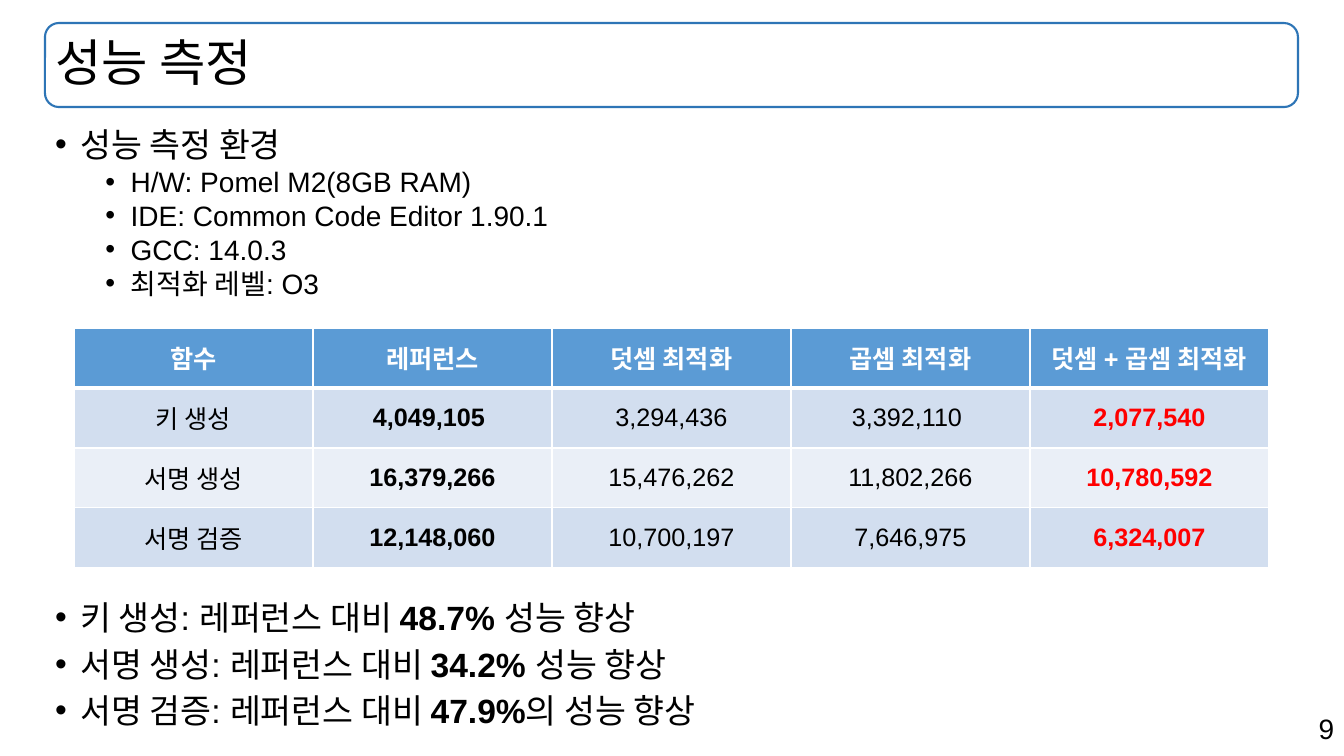
"""Build the performance measurement slide."""
from lxml import etree
from pptx import Presentation
from pptx.dml.color import RGBColor
from pptx.enum.shapes import MSO_SHAPE
from pptx.enum.text import MSO_ANCHOR, MSO_AUTO_SIZE, PP_ALIGN
from pptx.oxml.ns import qn
from pptx.util import Emu, Pt

ROUND = MSO_SHAPE.ROUNDED_RECTANGLE
MID, TOP = MSO_ANCHOR.MIDDLE, MSO_ANCHOR.TOP
FIXED = MSO_AUTO_SIZE.NONE
LEFT, MIDDLE, RIGHT = PP_ALIGN.LEFT, PP_ALIGN.CENTER, PP_ALIGN.RIGHT

FONT = "Arial"
HEX = {"ink": "000000", "white": "FFFFFF", "red": "FF0000", "frame": "2E75B6",
       "head": "5B9BD5", "odd": "D2DEEF", "even": "EAEFF7"}

TITLE = "성능 측정"
PAGE = "9"
SETUP = ["H/W: Pomel M2(8GB RAM)", "IDE: Common Code Editor 1.90.1",
         "GCC: 14.0.3", "최적화 레벨: O3"]
GAINS = [("키 생성: 레퍼런스 대비 ", "48.7%", " 성능 향상"),
         ("서명 생성: 레퍼런스 대비 ", "34.2%", " 성능 향상"),
         ("서명 검증: 레퍼런스 대비 ", "47.9%", "의 성능 향상")]
ROWS = [("함수", "레퍼런스", "덧셈 최적화", "곱셈 최적화", "덧셈 + 곱셈 최적화"),
        ("키 생성", "4,049,105 ", "3,294,436", "3,392,110 ", "2,077,540"),
        ("서명 생성", "16,379,266", "15,476,262", "11,802,266", "10,780,592"),
        ("서명 검증", "12,148,060", "10,700,197", "7,646,975", "6,324,007")]

WIDE, HIGH = 1344, 756
HEAD_BOX = (45, 23, 1253, 84)
BODY_BOX = (45, 127, 1253, 618)
PAGE_BOX = (951, 707, 393, 44)
GRID_X, GRID_Y, COL_W, ROW_H = 74, 328, 239, 60
TABLE_GAP = 218


def px(n):
    return Emu(round(n * 914400 / 100.8))


def place(shape, box):
    shape.left, shape.top, shape.width, shape.height = map(px, box)


def paint(name):
    return RGBColor.from_string(HEX[name])


def write(para, text, size, color="ink", bold=False):
    run = para.add_run()
    run.text = text
    font = run.font
    font.name, font.size, font.bold = FONT, Pt(size), bold
    font.color.rgb = paint(color)


def bullet(para, level, gap):
    para.level = level
    props = para._p.get_or_add_pPr()
    props.set("marL", str(228600 + level * 457200))
    props.set("indent", "-228600")
    etree.SubElement(props, qn("a:buFont")).set("typeface", FONT)
    etree.SubElement(props, qn("a:buChar")).set("char", "•")
    para.line_spacing = 0.8
    para.space_before = Pt(gap)


def edge(cell, side, width):
    props = cell._tc.get_or_add_tcPr()
    line = etree.SubElement(props, qn("a:ln" + side), w=str(Pt(width)))
    fill = etree.SubElement(line, qn("a:solidFill"))
    etree.SubElement(fill, qn("a:srgbClr"), val=HEX["white"])


def add_head(slide):
    frame = slide.shapes.add_shape(ROUND, *map(px, HEAD_BOX))
    frame.shadow.inherit = False
    frame.fill.background()
    frame.line.color.rgb = paint("frame")
    frame.line.width = Pt(1.5)
    slide.shapes._spTree.insert(2, frame._element)
    title = slide.shapes.title
    place(title, HEAD_BOX)
    text = title.text_frame
    text.auto_size, text.vertical_anchor = FIXED, MID
    para = text.paragraphs[0]
    para.alignment, para.line_spacing = LEFT, 0.9
    write(para, TITLE, 36)


def add_body(slide):
    body = slide.placeholders[1]
    place(body, BODY_BOX)
    text = body.text_frame
    text.auto_size, text.vertical_anchor = FIXED, TOP
    para = text.paragraphs[0]
    bullet(para, 0, 0)
    write(para, "성능 측정 환경", 24)
    for item in SETUP:
        para = text.add_paragraph()
        bullet(para, 1, 5)
        write(para, item, 20)
    for i, parts in enumerate(GAINS):
        para = text.add_paragraph()
        bullet(para, 0, 10 if i else TABLE_GAP)
        for j, part in enumerate(parts):
            write(para, part, 24, bold=j == 1)


def add_grid(slide):
    rows, cols = len(ROWS), len(ROWS[0])
    box = (GRID_X, GRID_Y, COL_W * cols, ROW_H * rows)
    grid = slide.shapes.add_table(rows, cols, *map(px, box)).table
    for r, row in enumerate(ROWS):
        back = "head" if r == 0 else "odd" if r % 2 else "even"
        for c, text in enumerate(row):
            cell = grid.cell(r, c)
            for side in "LRTB":
                thick = (r, side) in ((0, "B"), (1, "T"))
                edge(cell, side, 3 if thick else 1)
            cell.fill.solid()
            cell.fill.fore_color.rgb = paint(back)
            cell.vertical_anchor = MID
            para = cell.text_frame.paragraphs[0]
            para.alignment = MIDDLE
            color = "white" if r == 0 else "red" if c == cols - 1 else "ink"
            write(para, text, 18, color, r == 0 or c in (1, cols - 1))


def add_page(slide):
    text = slide.shapes.add_textbox(*map(px, PAGE_BOX)).text_frame
    text.word_wrap = True
    para = text.paragraphs[0]
    para.alignment = RIGHT
    write(para, PAGE, 20)


def main():
    deck = Presentation()
    deck.slide_width, deck.slide_height = px(WIDE), px(HIGH)
    slide = deck.slides.add_slide(deck.slide_layouts[1])
    add_head(slide)
    add_body(slide)
    add_grid(slide)
    add_page(slide)
    deck.save("out.pptx")


if __name__ == "__main__":
    main()
